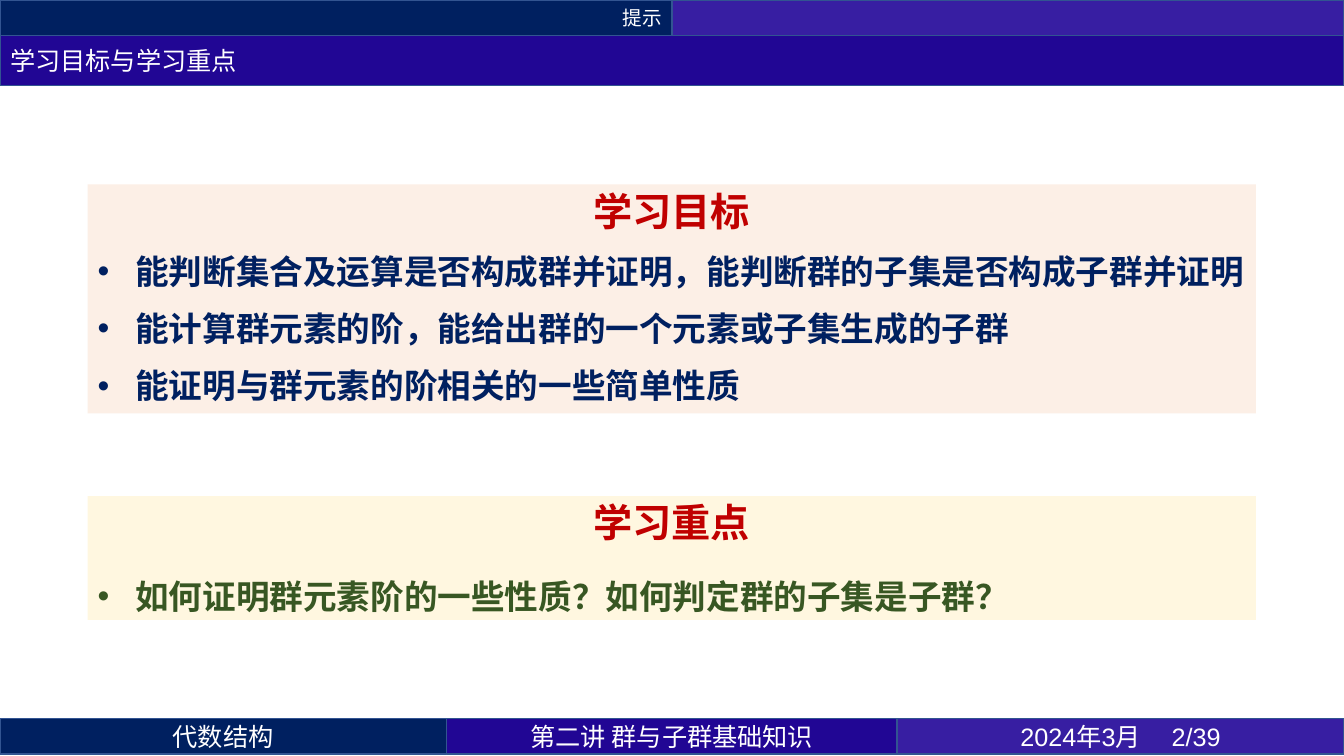
import pptx
import pptx.util
import pptx.dml.color
import pptx.enum.shapes
import pptx.enum.text
from lxml import etree

Cm, Pt = pptx.util.Cm, pptx.util.Pt
ALIGN = pptx.enum.text.PP_ALIGN
ANCHOR = pptx.enum.text.MSO_ANCHOR
FIT = pptx.enum.text.MSO_AUTO_SIZE
CJK = "Noto Sans CJK SC"
NAVY, INDIGO, VIOLET = "002060", "210694", "371EA2"
EDGE, WHITE, RED, GREEN = "325491", "FFFFFF", "C00000", "385723"
W, H = 33.87, 19.05


def rgb(value):
    return pptx.dml.color.RGBColor.from_string(value)


def add_xml(parent, tag, **attrs):
    ns = "http://schemas.openxmlformats.org/drawingml/2006/main"
    return etree.SubElement(parent, f"{{{ns}}}{tag}", **attrs)


class Deck:
    def __init__(self):
        self.prs = pptx.Presentation()
        self.prs.slide_width, self.prs.slide_height = Cm(W), Cm(H)
        self.s = self.prs.slides.add_slide(self.prs.slide_layouts[5])

    def run(self, p, text, size, color, font=CJK, bold=False):
        r = p.add_run()
        r.text = text
        r.font.size, r.font.bold = Pt(size), bold
        r.font.name, r.font.color.rgb = font, rgb(color)
        add_xml(r.font._element, "ea", typeface=CJK)

    def style_bar(self, sp, fill, text, size, align, font=CJK):
        sp.fill.solid()
        sp.fill.fore_color.rgb = rgb(fill)
        sp.line.color.rgb = rgb(EDGE)
        sp.line.width = Pt(1)
        tf = sp.text_frame
        tf.word_wrap, tf.auto_size = True, FIT.NONE
        tf.vertical_anchor = ANCHOR.MIDDLE
        if text:
            p = tf.paragraphs[0]
            p.alignment = align
            self.run(p, text, size, WHITE, font)

    def title(self, x, y, w, h, fill, text):
        sp = self.s.shapes.title
        sp.left, sp.top, sp.width, sp.height = Cm(x), Cm(y), Cm(w), Cm(h)
        self.style_bar(sp, fill, text, 18, ALIGN.LEFT)

    def bar(self, x, y, w, h, fill, text="", size=18, align=ALIGN.CENTER, font=CJK):
        sp = self.s.shapes.add_shape(
            pptx.enum.shapes.MSO_SHAPE.RECTANGLE, Cm(x), Cm(y), Cm(w), Cm(h))
        sp.shadow.inherit = False
        self.style_bar(sp, fill, text, size, align, font)

    def panel(self, y, h, fill, heading, items, color, before, spacing=None):
        sp = self.s.shapes.add_textbox(Cm(2.21), Cm(y), Cm(29.44), Cm(h))
        sp.fill.solid()
        sp.fill.fore_color.rgb = rgb(fill)
        add_xml(sp.fill._xPr.solidFill[0], "alpha", val="60000")
        tf = sp.text_frame
        tf.word_wrap, tf.auto_size = True, FIT.SHAPE_TO_FIT_TEXT
        p = tf.paragraphs[0]
        p.alignment, p.line_spacing = ALIGN.CENTER, Pt(32)
        self.run(p, heading, 28, RED, bold=True)
        for item in items:
            p = tf.add_paragraph()
            p.line_spacing = spacing
            self.run(p, item, 24, color, "Arial", True)
        for p in tf.paragraphs:
            p.space_before, p.space_after = Pt(before), Pt(6)
        # Bullets with a hanging indent
        for p in tf.paragraphs[1:]:
            pPr = p._p.get_or_add_pPr()
            pPr.set("marL", str(Cm(0.95)))
            pPr.set("indent", str(-Cm(0.95)))
            add_xml(pPr, "buFont", typeface="Arial")
            add_xml(pPr, "buChar", char="•")


def main():
    deck = Deck()

    # Header
    bar_h = 0.89
    deck.bar(0, 0, W / 2, bar_h, NAVY, "提示", 14, ALIGN.RIGHT)
    deck.bar(W / 2, 0, W / 2, bar_h, VIOLET)
    deck.title(0, bar_h, W, 1.27, INDIGO, "学习目标与学习重点")

    # Footer
    x = 0
    for w, fill, text, font in [
        (11.25, NAVY, "代数结构", CJK),
        (11.36, INDIGO, "第二讲 群与子群基础知识", CJK),
        (11.26, VIOLET, "2024年3月\t2/39", "Arial"),
    ]:
        deck.bar(x, 18.11, w, bar_h, fill, text, font=font)
        x += w

    # Goals and key points
    deck.panel(4.65, 5.77, "FBE5D6", "学习目标", [
        "能判断集合及运算是否构成群并证明，能判断群的子集是否构成子群并证明",
        "能计算群元素的阶，能给出群的一个元素或子集生成的子群",
        "能证明与群元素的阶相关的一些简单性质",
    ], NAVY, 6)
    deck.panel(12.5, 3.12, "FFF2CC", "学习重点", [
        "如何证明群元素阶的一些性质？如何判定群的子集是子群？",
    ], GREEN, 12, Pt(32))

    deck.prs.save("out.pptx")


if __name__ == "__main__":
    main()
